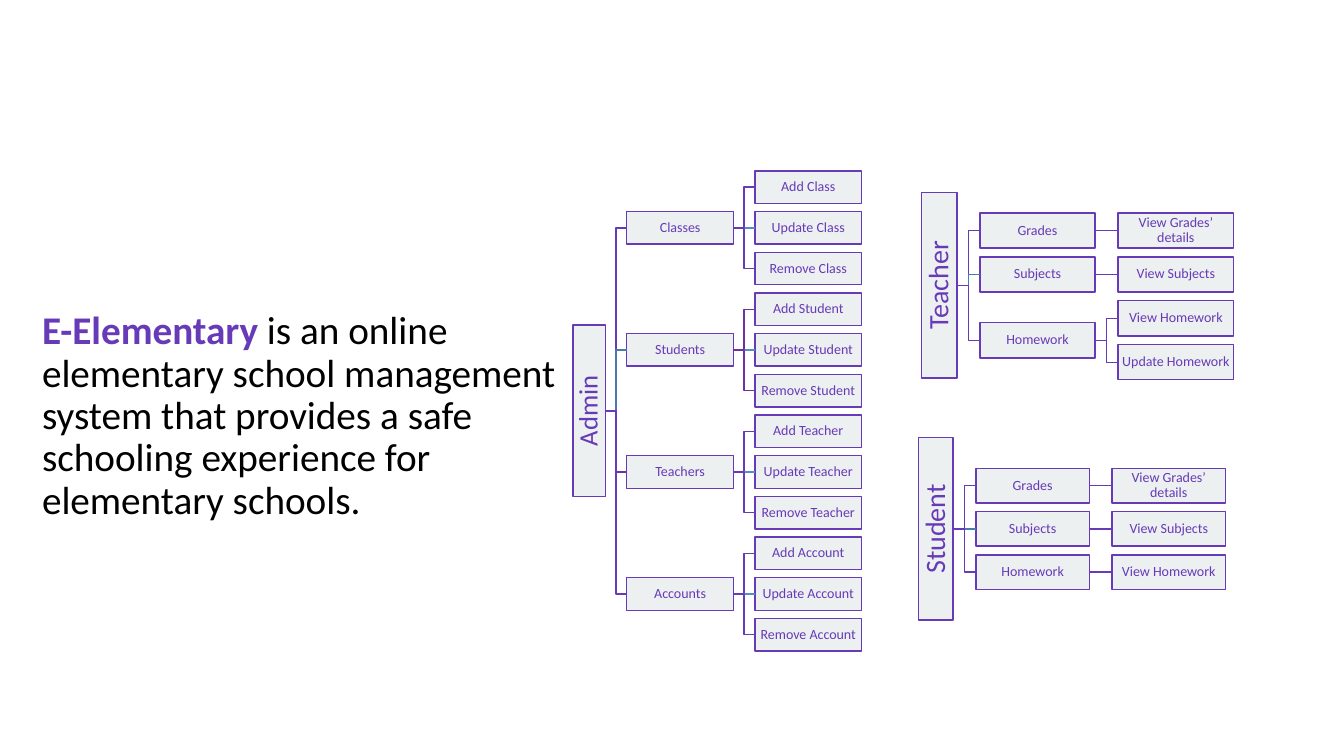
from lxml import etree
from pptx import Presentation
from pptx.dml.color import RGBColor
from pptx.enum.shapes import MSO_CONNECTOR as Connector, MSO_SHAPE as Shape
from pptx.enum.text import MSO_ANCHOR as Anchor, PP_ALIGN as Align
from pptx.oxml.ns import qn
from pptx.util import Pt

COLORS = {
    "purple": "673AB7",
    "violet": "7030A0",
    "blue": "497CAB",
    "sky": "538DC1",
    "panel": "ECF0F1",
    "black": "000000",
}
FONT = "Calibri"
RIGHT_SITE, LEFT_SITE = 3, 1

# Branch: name, colour of the line to it, colour of the lines from it, leaves.
TREES = [
    dict(name="Admin", left=409.2, top=122.1, unit=23.25, size=19, level_line="sky",
         branches=[
             ("Classes", "purple", "purple",
              ["Add Class", "Update Class", "Remove Class"]),
             ("Students", "blue", "violet",
              ["Add Student", "Update Student", "Remove Student"]),
             ("Teachers", "violet", "purple",
              ["Add Teacher", "Update Teacher", "Remove Teacher"]),
             ("Accounts", "purple", "purple",
              ["Add Account", "Update Account", "Remove Account"]),
         ]),
    dict(name="Teacher", left=658.4, top=152.1, unit=25.1, size=20, level_line="purple",
         branches=[
             ("Grades", "purple", "purple", ["View Grades’ details"]),
             ("Subjects", "blue", "purple", ["View Subjects"]),
             ("Homework", "purple", "purple", ["View Homework", "Update Homework"]),
         ]),
    dict(name="Student", left=656.2, top=334.6, unit=24.7, size=20, level_line="purple",
         branches=[
             ("Grades", "purple", "purple", ["View Grades’ details"]),
             ("Subjects", "blue", "purple", ["View Subjects"]),
             ("Homework", "purple", "purple", ["View Homework"]),
         ]),
]


def add_box(text, left, middle, width, height, size=10):
    """Add a labelled box centred vertically on middle."""
    box = page.shapes.add_shape(
        Shape.RECTANGLE, Pt(left), Pt(middle - height / 2), Pt(width), Pt(height))
    box.shadow.inherit = False
    box.fill.solid()
    box.fill.fore_color.rgb = RGBColor.from_string(COLORS["panel"])
    box.line.color.rgb = RGBColor.from_string(COLORS["purple"])
    box.line.width = Pt(1)
    frame = box.text_frame
    frame.word_wrap = True
    frame.vertical_anchor = Anchor.MIDDLE
    frame.margin_left = frame.margin_right = Pt(0.5)
    frame.margin_top = frame.margin_bottom = Pt(0.5)
    para = frame.paragraphs[0]
    para.text = text
    para.alignment = Align.CENTER
    para.line_spacing = 0.9
    para.font.name = FONT
    para.font.size = Pt(size)
    para.font.color.rgb = RGBColor.from_string(COLORS["purple"])
    return box


def link(parent, child, color, level_color):
    """Join two boxes, with a straight line if they are level."""
    rise = (child.top + child.height / 2) - (parent.top + parent.height / 2)
    level = abs(rise) < Pt(0.1)
    kind = Connector.STRAIGHT if level else Connector.ELBOW
    line = page.shapes.add_connector(kind, 0, 0, 0, 0)
    line.begin_connect(parent, RIGHT_SITE)
    line.end_connect(child, LEFT_SITE)
    line.line.width = Pt(1)
    line.line.color.rgb = RGBColor.from_string(COLORS[level_color if level else color])
    etree.SubElement(line._element.spPr, qn("a:effectLst"))


deck = Presentation()
deck.slide_width, deck.slide_height = Pt(960), Pt(540)
page = deck.slides.add_slide(deck.slide_layouts[6])

intro = page.shapes.add_textbox(Pt(23), Pt(194.4), Pt(388), Pt(206.6)).text_frame
intro.word_wrap = True
intro.vertical_anchor = Anchor.MIDDLE
para = intro.paragraphs[0]
para.line_spacing = 0.9
para.space_before = Pt(10)
para.font.name = FONT
para.font.size = Pt(28)
for text, color, bold in [
    ("E-Elementary ", "purple", True),
    ("is an online elementary school management system that provides "
     "a safe schooling experience for elementary schools.", "black", False),
]:
    span = para.add_run()
    span.text = text
    span.font.bold = bold
    span.font.color.rgb = RGBColor.from_string(COLORS[color])

for tree in TREES:
    height = tree["unit"]
    width, gap, pitch = 3.28 * height, 0.656 * height, 1.25 * height
    branch_left = tree["left"] + height + gap
    leaf_left = branch_left + width + gap
    leaf_middle = tree["top"] + height / 2
    branch_middles = []
    branch_boxes = []
    for name, stem_color, leaf_color, leaves in tree["branches"]:
        middle = leaf_middle + pitch * (len(leaves) - 1) / 2
        branch = add_box(name, branch_left, middle, width, height)
        branch_middles.append(middle)
        branch_boxes.append((branch, stem_color))
        for leaf_name in leaves:
            leaf = add_box(leaf_name, leaf_left, leaf_middle, width, height)
            link(branch, leaf, leaf_color, tree["level_line"])
            leaf_middle += pitch

    root_middle = (branch_middles[0] + branch_middles[-1]) / 2
    root = add_box(tree["name"], tree["left"], root_middle,
                   height, 5.27 * height, tree["size"])
    root.text_frame._txBody.bodyPr.set("vert", "vert270")
    for branch, stem_color in branch_boxes:
        link(root, branch, stem_color, stem_color)

deck.save("out.pptx")
